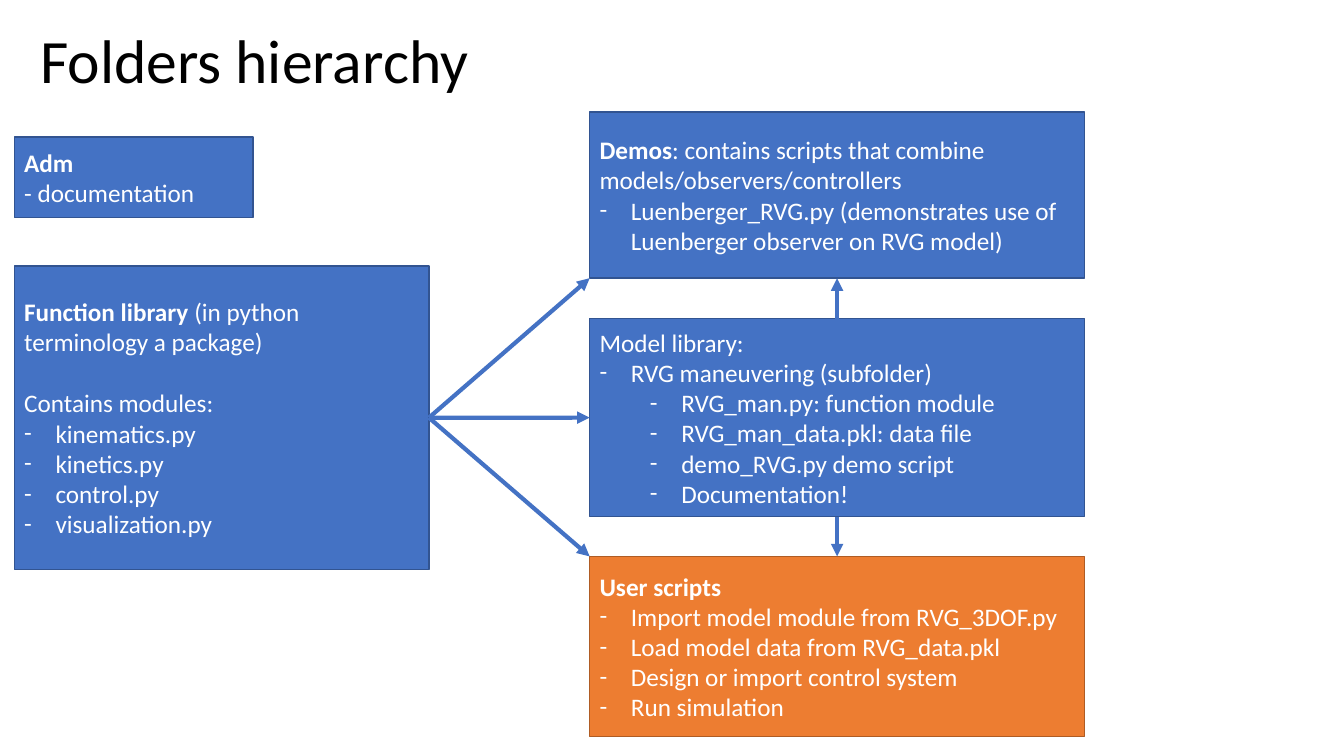
from dataclasses import dataclass

from lxml.etree import SubElement
from pptx import Presentation
from pptx.dml.color import RGBColor
from pptx.enum.shapes import MSO_CONNECTOR, MSO_SHAPE
from pptx.enum.text import MSO_ANCHOR, MSO_AUTO_SIZE, PP_ALIGN
from pptx.oxml.ns import qn
from pptx.slide import Slide
from pptx.text.text import TextFrame
from pptx.util import Cm, Pt


@dataclass(frozen=True)
class Theme:
    font: str = "Calibri"
    head: int = 44
    body: int = 18
    ink: str = "000000"
    pale: str = "FFFFFF"
    blue: str = "4472C4"
    navy: str = "325491"
    amber: str = "ED7D31"
    rust: str = "AF5C24"
    edge: float = 1
    arrow: float = 3


THEME = Theme()


@dataclass(frozen=True)
class Line:
    """A paragraph: bold lead, plain text, bullet level (0 for none)."""
    text: str = ""
    lead: str = ""
    level: int = 0
    gap: int = 0


@dataclass(frozen=True)
class Box:
    x: float
    y: float
    w: float
    h: float
    lines: tuple[Line, ...]
    fill: str = THEME.blue
    edge: str = THEME.navy

    def at(self, across: float, down: float) -> tuple[float, float]:
        """Point at the given fractions of the width and height."""
        return self.x + across * self.w, self.y + down * self.h


def items(*texts: str, level: int = 1) -> tuple[Line, ...]:
    return tuple(Line(text, level=level) for text in texts)


LEFT, RIGHT, WIDE = 0.36, 14.86, 12.47

ADM = Box(LEFT, 3.45, 6.02, 2.03, (Line(lead="Adm"), Line("- documentation")))
LIBRARY = Box(LEFT, 6.7, 10.45, 7.65, (
    Line("(in python terminology a package)", lead="Function library "),
    Line("Contains modules:", gap=22),
    *items("kinematics.py", "kinetics.py", "control.py", "visualization.py"),
))
DEMOS = Box(RIGHT, 2.82, WIDE, 4.19, (
    Line(": contains scripts that combine models/observers/controllers",
         lead="Demos"),
    *items("Luenberger_RVG.py (demonstrates use of Luenberger observer on RVG model)"),
))
MODELS = Box(RIGHT, 8.03, WIDE, 4.99, (
    Line("Model library:"),
    *items("RVG maneuvering (subfolder)"),
    *items("RVG_man.py: function module", "RVG_man_data.pkl: data file",
           "demo_RVG.py demo script", "Documentation!", level=2),
))
USER = Box(RIGHT, 14.02, WIDE, 4.54, (
    Line(lead="User scripts"),
    *items("Import model module from RVG_3DOF.py",
           "Load model data from RVG_data.pkl",
           "Design or import control system", "Run simulation"),
), THEME.amber, THEME.rust)

HUB = LIBRARY.at(1, 0.5)
ARROWS = (
    (HUB, MODELS.at(0, 0.5)),
    (HUB, DEMOS.at(0, 1)),
    (HUB, USER.at(0, 0)),
    (MODELS.at(0.5, 0), DEMOS.at(0.5, 1)),
    (MODELS.at(0.5, 1), USER.at(0.5, 0)),
)


def write(frame: TextFrame, lines: tuple[Line, ...], *, size: int,
          color: str, space: float = 1.0) -> None:
    frame.word_wrap = True
    frame.auto_size = MSO_AUTO_SIZE.NONE
    frame.vertical_anchor = MSO_ANCHOR.MIDDLE
    for i, line in enumerate(lines):
        para = frame.add_paragraph() if i else frame.paragraphs[0]
        para.alignment = PP_ALIGN.LEFT
        para.line_spacing = space
        para.space_before = Pt(line.gap)
        for text, bold in ((line.lead, True), (line.text, False)):
            if not text:
                continue
            run = para.add_run()
            run.text = text
            font = run.font
            font.name, font.size, font.bold = THEME.font, Pt(size), bold
            font.color.rgb = RGBColor.from_string(color)
        if line.level:
            para.level = line.level - 1
            props = para._p.get_or_add_pPr()
            props.set("marL", str(Cm(0.79 + 1.27 * para.level)))
            props.set("indent", str(Cm(-0.79)))
            SubElement(props, qn("a:buFont"), typeface=THEME.font)
            SubElement(props, qn("a:buChar"), char="-")


def draw_box(slide: Slide, box: Box) -> None:
    shape = slide.shapes.add_shape(
        MSO_SHAPE.RECTANGLE, Cm(box.x), Cm(box.y), Cm(box.w), Cm(box.h))
    shape.shadow.inherit = False
    shape.fill.solid()
    shape.fill.fore_color.rgb = RGBColor.from_string(box.fill)
    shape.line.color.rgb = RGBColor.from_string(box.edge)
    shape.line.width = Pt(THEME.edge)
    write(shape.text_frame, box.lines, size=THEME.body, color=THEME.pale)


def draw_arrow(slide: Slide, start: tuple[float, float],
               end: tuple[float, float]) -> None:
    link = slide.shapes.add_connector(
        MSO_CONNECTOR.STRAIGHT, *map(Cm, start + end))
    link.line.color.rgb = RGBColor.from_string(THEME.blue)
    link.line.width = Pt(THEME.arrow)
    SubElement(link.line._get_or_add_ln(), qn("a:tailEnd"), type="triangle")
    SubElement(link._element.spPr, qn("a:effectLst"))


def draw_title(slide: Slide, text: str) -> None:
    title = slide.shapes.title
    title.left, title.top = Cm(0.76), Cm(-0.23)
    title.width, title.height = Cm(21.18), Cm(3.68)
    write(title.text_frame, (Line(text),), size=THEME.head,
          color=THEME.ink, space=0.9)


def main() -> None:
    deck = Presentation()
    deck.slide_width, deck.slide_height = Cm(33.87), Cm(19.05)
    slide = deck.slides.add_slide(deck.slide_layouts[5])
    draw_title(slide, "Folders hierarchy")
    for box in (LIBRARY, MODELS, USER, DEMOS, ADM):
        draw_box(slide, box)
    for start, end in ARROWS:
        draw_arrow(slide, start, end)
    deck.save("out.pptx")


if __name__ == "__main__":
    main()
